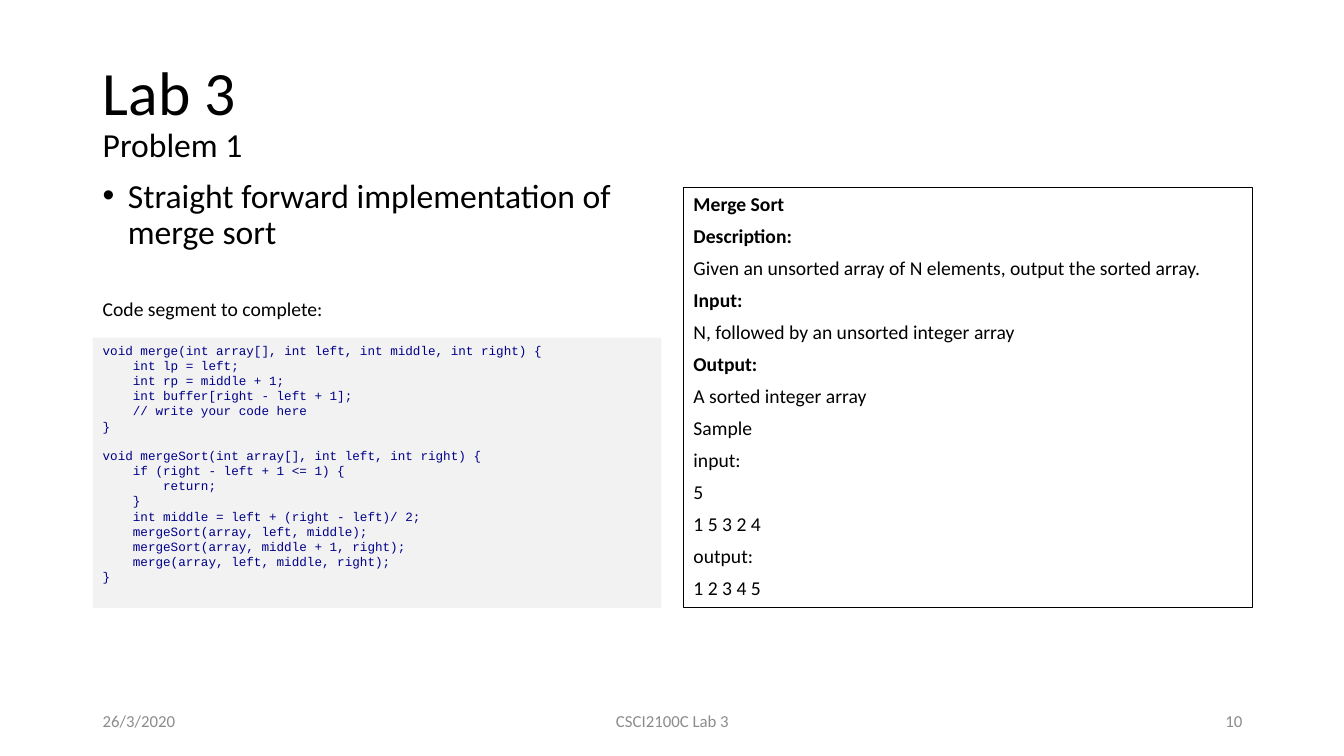
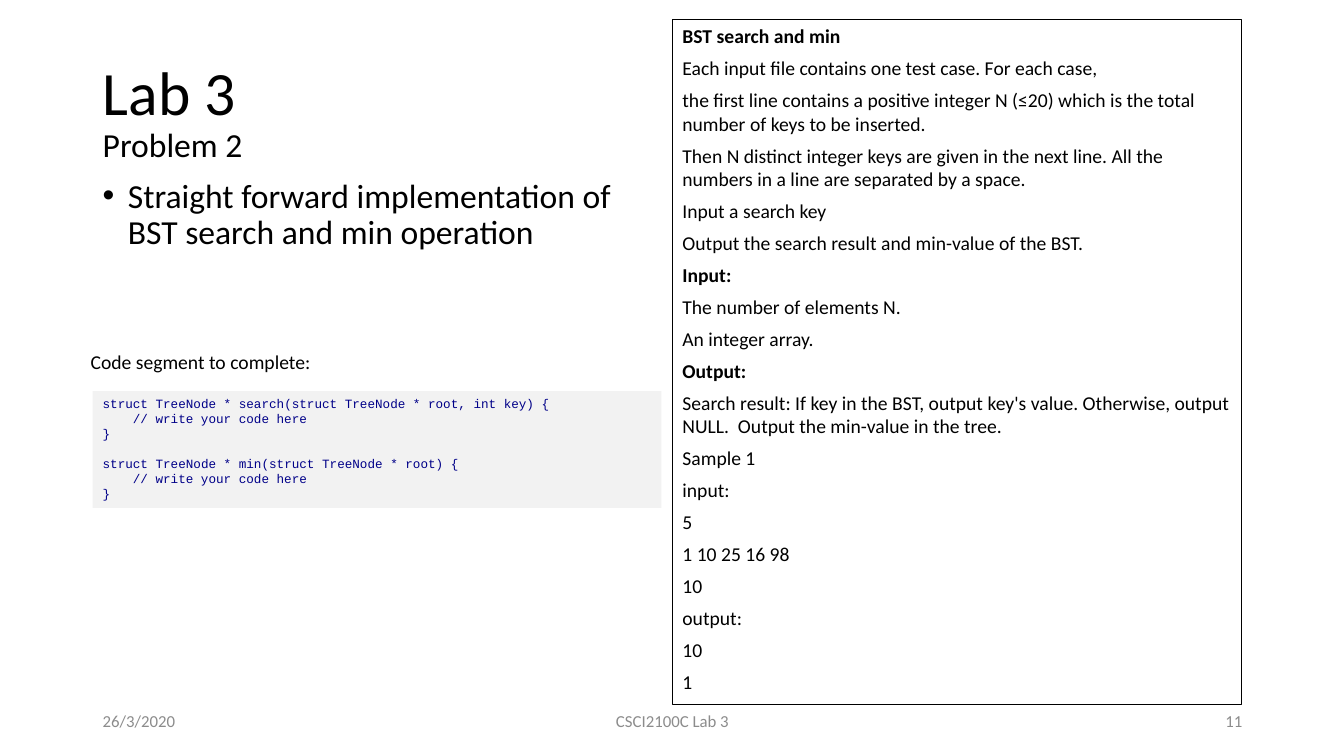
from dataclasses import dataclass
from lxml.etree import SubElement
from pptx import Presentation
from pptx.dml.color import RGBColor as RGB
from pptx.enum.shapes import MSO_SHAPE as SHAPE
from pptx.enum.text import MSO_ANCHOR as ANCHOR, PP_ALIGN as ALIGN
from pptx.oxml.ns import qn
from pptx.util import Inches, Pt


@dataclass(frozen=True)
class Theme:
    sans: str = "Calibri"
    mono: str = "Courier New"
    ink: RGB = RGB(0, 0, 0)
    code: RGB = RGB(0, 0, 0x88)
    panel: RGB = RGB(0xF2, 0xF2, 0xF2)
    muted: RGB = RGB(0x8C, 0x8C, 0x8C)
    title: int = 44
    lead: int = 24
    text: int = 14
    foot: int = 12
    small: int = 9


T = Theme()
LEFT, HALF = 0.92, 5.64
TAB = 0.3
DATE, COURSE = "26/3/2020", "CSCI2100C Lab 3"

LABS = [
    {
        "name": "Problem 1",
        "page": 10,
        "lead": "Straight forward implementation of merge sort",
        "task": (6.78, 1.86, HALF, 4.17),
        "label": (LEFT, 2.9, 2.4, 0.34),
        "panel": (LEFT, 3.35, HALF, 2.68),
        "heads": ("Merge Sort", "Description:", "Input:", "Output:"),
        "lines": [
            "Merge Sort",
            "Description:",
            "Given an unsorted array of N elements, output the sorted array.",
            "Input:",
            "N, followed by an unsorted integer array",
            "Output:",
            "A sorted integer array",
            "Sample",
            "input:",
            "5",
            "1 5 3 2 4",
            "output:",
            "1 2 3 4 5",
        ],
        "code": [
            [
                (0, "void merge(int array[], int left, int middle, int right) {"),
                (1, "int lp = left;"),
                (1, "int rp = middle + 1;"),
                (1, "int buffer[right - left + 1];"),
                (1, "// write your code here"),
                (0, "}"),
            ],
            [
                (0, "void mergeSort(int array[], int left, int right) {"),
                (1, "if (right - left + 1 <= 1) {"),
                (2, "return;"),
                (1, "}"),
                (1, "int middle = left + (right - left)/ 2;"),
                (1, "mergeSort(array, left, middle);"),
                (1, "mergeSort(array, middle + 1, right);"),
                (1, "merge(array, left, middle, right);"),
                (0, "}"),
            ],
        ],
    },
    {
        "name": "Problem 2",
        "page": 11,
        "lead": "Straight forward implementation of BST search and min operation",
        "task": (6.67, 0.19, HALF, 6.8),
        "label": (0.8, 3.42, 2.4, 0.34),
        "panel": (LEFT, 3.88, HALF, 1.16),
        "heads": ("BST search and min", "Input:", "Output:"),
        "lines": [
            "BST search and min",
            "Each input file contains one test case. For each case,",
            "the first line contains a positive integer N (≤20) which is the "
            "total number of keys to be inserted.",
            "Then N distinct integer keys are given in the next line. All the "
            "numbers in a line are separated by a space.",
            "Input a search key",
            "Output the search result and min-value of the BST.",
            "Input:",
            "The number of elements N.",
            "An integer array.",
            "Output:",
            "Search result: If key in the BST, output key's value. Otherwise, "
            "output NULL.  Output the min-value in the tree.",
            "Sample 1",
            "input:",
            "5",
            "1 10 25 16 98",
            "10",
            "output:",
            "10",
            "1",
        ],
        "code": [
            [
                (0, "struct TreeNode * search(struct TreeNode * root, int key) {"),
                (1, "// write your code here"),
                (0, "}"),
            ],
            [
                (0, "struct TreeNode * min(struct TreeNode * root) {"),
                (1, "// write your code here"),
                (0, "}"),
            ],
        ],
    },
]


def apply(item, **style):
    for key, value in style.items():
        setattr(item, key, value)


def add_run(para, text, size, color=T.ink, face=T.sans, bold=False):
    run = para.add_run()
    run.text = text
    apply(run.font, size=Pt(size), name=face, bold=bold)
    run.font.color.rgb = color


def add_para(frame, **style):
    para = frame.paragraphs[0]
    if para.runs:
        para = frame.add_paragraph()
    apply(para, **style)
    return para


def indent(para, left, first=0):
    props = para._p.get_or_add_pPr()
    props.set("marL", str(Inches(left)))
    props.set("indent", str(Inches(first)))
    return props


def add_text(slide, box, anchor=ANCHOR.TOP, wrap=True):
    frame = slide.shapes.add_textbox(*map(Inches, box)).text_frame
    apply(frame, word_wrap=wrap, vertical_anchor=anchor)
    return frame


def add_box(slide, box, fill=None, line=None):
    rect = slide.shapes.add_shape(SHAPE.RECTANGLE, *map(Inches, box))
    rect.shadow.inherit = False
    if fill is None:
        rect.fill.background()
    else:
        rect.fill.solid()
        rect.fill.fore_color.rgb = fill
    if line is None:
        rect.line.fill.background()
    else:
        rect.line.color.rgb = line
        rect.line.width = Pt(0.75)
    apply(rect.text_frame, word_wrap=True, vertical_anchor=ANCHOR.TOP)
    return rect.text_frame


def add_title(slide, name):
    frame = add_text(slide, (LEFT, 0.4, 11.5, 1.45), ANCHOR.MIDDLE)
    para = add_para(frame, line_spacing=0.9)
    add_run(para, "Lab 3", T.title)
    para.add_line_break()
    add_run(para, name, T.lead)


def add_lead(slide, text):
    frame = add_text(slide, (LEFT, 1.73, HALF, 1))
    para = add_para(frame, line_spacing=0.9, space_before=Pt(10))
    props = indent(para, 0.25, -0.25)
    SubElement(props, qn("a:buFont"), typeface="Arial")
    SubElement(props, qn("a:buChar"), char="•")
    add_run(para, text, T.lead)


def add_task(slide, box, lines, heads):
    frame = add_box(slide, box, line=T.ink)
    for line in lines:
        para = add_para(frame, alignment=ALIGN.LEFT, space_after=Pt(6))
        add_run(para, line, T.text, bold=line in heads)


def add_code(slide, box, funcs):
    frame = add_box(slide, box, fill=T.panel)
    for num, func in enumerate(funcs):
        for row, (depth, line) in enumerate(func):
            gap = 10.2 if num and not row else 0
            para = add_para(frame, alignment=ALIGN.LEFT, space_before=Pt(gap))
            indent(para, depth * TAB)
            add_run(para, line, T.small, T.code, T.mono)


def add_label(slide, box):
    frame = add_text(slide, box, wrap=False)
    add_run(add_para(frame), "Code segment to complete:", T.text)


def add_foot(slide, page):
    parts = [
        (LEFT, 3, ALIGN.LEFT, DATE),
        (4.42, 4.5, ALIGN.CENTER, COURSE),
        (9.42, 3, ALIGN.RIGHT, str(page)),
    ]
    for left, width, align, text in parts:
        frame = add_text(slide, (left, 6.95, width, 0.4), ANCHOR.MIDDLE)
        add_run(add_para(frame, alignment=align), text, T.foot, T.muted)


def add_lab(deck, lab):
    slide = deck.slides.add_slide(deck.slide_layouts[6])
    add_title(slide, lab["name"])
    add_lead(slide, lab["lead"])
    add_task(slide, lab["task"], lab["lines"], lab["heads"])
    add_label(slide, lab["label"])
    add_code(slide, lab["panel"], lab["code"])
    add_foot(slide, lab["page"])


def main():
    deck = Presentation()
    apply(deck, slide_width=Inches(13.33), slide_height=Inches(7.5))
    for lab in LABS:
        add_lab(deck, lab)
    deck.save("out.pptx")


main()
